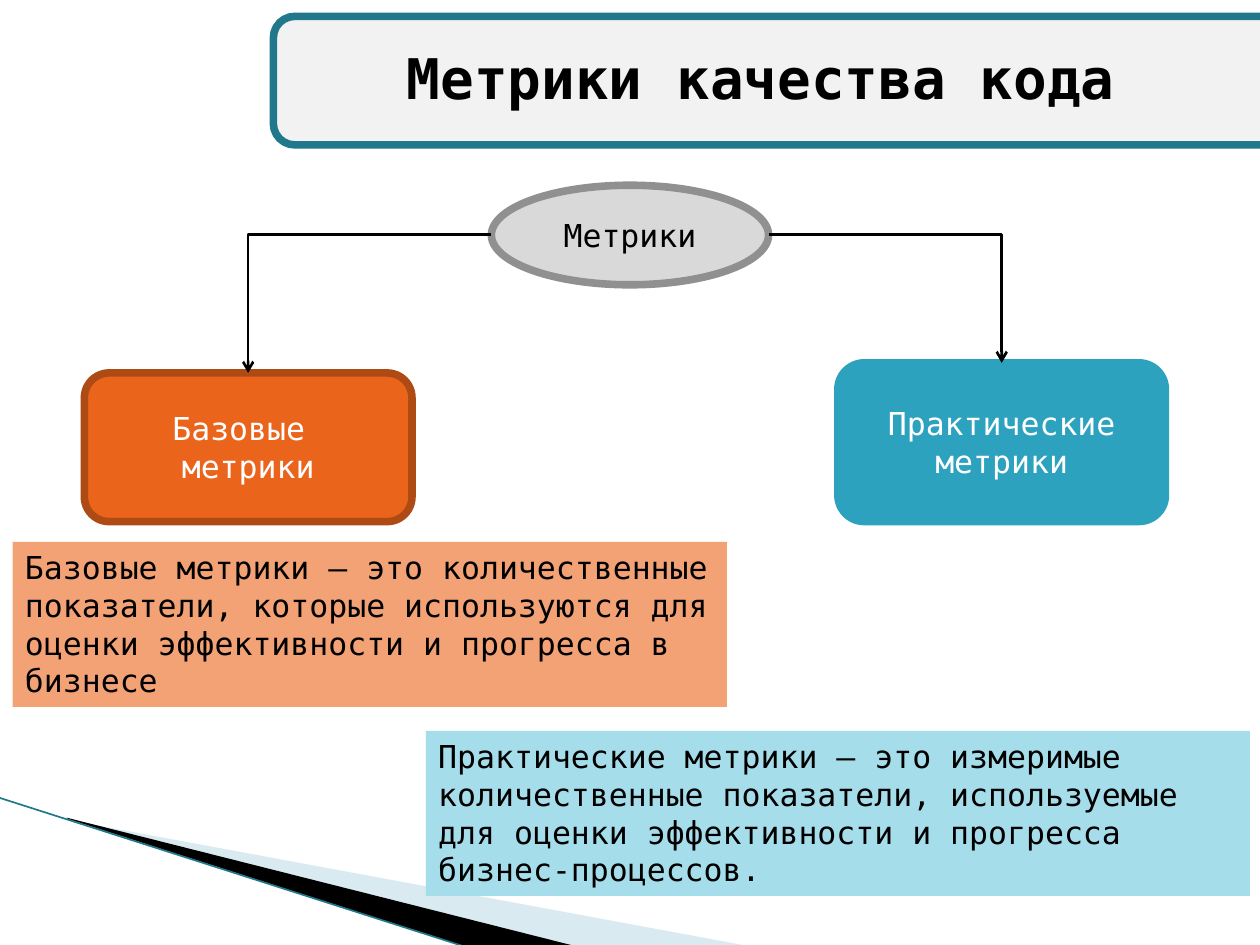
from lxml import etree
from pptx import Presentation
from pptx.dml.color import RGBColor
from pptx.enum import shapes as kinds, text as txt
from pptx.oxml.ns import qn
from pptx.util import Inches, Pt

FONT = "DejaVu Sans Mono"
BORDER = 4.33
SHAPE = kinds.MSO_SHAPE


def rgb(value):
    return RGBColor.from_string(value)


def paint(shape, fill, border=None):
    shape.shadow.inherit = False
    shape.fill.solid()
    shape.fill.fore_color.rgb = rgb(fill)
    if border:
        shape.line.color.rgb = rgb(border)
        shape.line.width = Pt(BORDER)
    else:
        shape.line.fill.background()


def write(shape, wording, size, color, align, bold=False):
    frame = shape.text_frame
    frame.word_wrap = True
    frame.text = wording
    for paragraph in frame.paragraphs:
        paragraph.alignment = align
        for run in paragraph.runs:
            run.font.name = FONT
            run.font.size = Pt(size)
            run.font.bold = bold
            run.font.color.rgb = rgb(color)


def add_block(slide, kind, box, fill, border=None):
    block = slide.shapes.add_shape(kind, *map(Inches, box))
    paint(block, fill, border)
    return block


def add_node(slide, kind, box, fill, border, wording, color):
    node = add_block(slide, kind, box, fill, border)
    write(node, wording, 18, color, txt.PP_ALIGN.CENTER)
    node.text_frame.vertical_anchor = txt.MSO_ANCHOR.MIDDLE


def add_definition(slide, box, fill, wording):
    definition = add_block(slide, SHAPE.RECTANGLE, box, fill)
    write(definition, wording, 18, "000000", txt.PP_ALIGN.LEFT)
    definition.text_frame.vertical_anchor = txt.MSO_ANCHOR.TOP
    definition.text_frame.auto_size = txt.MSO_AUTO_SIZE.SHAPE_TO_FIT_TEXT


def add_wedge(slide, points, fill, opacity=100):
    corners = [(Inches(x), Inches(y)) for x, y in points]
    builder = slide.shapes.build_freeform(*corners[0])
    builder.add_line_segments(corners[1:])
    wedge = builder.convert_to_shape()
    paint(wedge, fill)
    if opacity < 100:
        tint = wedge.element.spPr.find(".//" + qn("a:srgbClr"))
        etree.SubElement(tint, qn("a:alpha"), val=str(opacity * 1000))


def add_line(slide, start, end, color, width, kind=kinds.MSO_CONNECTOR.STRAIGHT):
    line = slide.shapes.add_connector(kind, *map(Inches, start + end))
    line.line.color.rgb = rgb(color)
    line.line.width = Pt(width)
    etree.SubElement(line.element.spPr, qn("a:effectLst"))
    return line


def add_branch(slide, start, end):
    """Arrow that runs sideways and then turns down once."""
    branch = add_line(slide, start, end, "000000", 1.5, kinds.MSO_CONNECTOR.ELBOW)
    properties = branch.element.spPr
    properties.find(qn("a:prstGeom")).set("prst", "bentConnector2")
    etree.SubElement(properties.find(qn("a:ln")), qn("a:tailEnd"), type="arrow")


def add_heading(slide, wording):
    banner = add_block(slide, SHAPE.ROUNDED_RECTANGLE, (2.17, 0.13, 9.13, 1.02),
                       "F2F2F2", "21788D")
    title = slide.shapes.title
    title.left, title.top, title.width, title.height = map(
        Inches, (1.54, -0.01, 9, 1.25))
    write(title, wording, 32, "000000", txt.PP_ALIGN.CENTER, bold=True)
    title.text_frame.vertical_anchor = txt.MSO_ANCHOR.MIDDLE
    banner.element.addnext(title.element)


def add_corner(slide):
    add_wedge(slide, [(0.55, 6.51), (5.95, 7.51), (4.56, 7.51), (0.55, 6.5)],
              "A0CBDC", 40)
    add_wedge(slide, [(0.53, 6.49), (4.57, 7.51), (3.72, 7.52), (0.54, 6.5)],
              "000000")
    add_line(slide, (-0.01, 6.33), (3.71, 7.52), "21788D", 0.95)


def main():
    deck = Presentation()
    deck.slide_width, deck.slide_height = Inches(10), Inches(7.5)
    slide = deck.slides.add_slide(deck.slide_layouts[5])

    add_corner(slide)
    add_heading(slide, "Метрики качества кода")

    add_node(slide, SHAPE.ROUNDED_RECTANGLE, (0.67, 2.96, 2.6, 1.18),
             "EB641B", "AE4A14", "Базовые \nметрики", "FFFFFF")
    add_node(slide, SHAPE.ROUNDED_RECTANGLE, (6.65, 2.88, 2.6, 1.26),
             "2DA2BF", "2DA2BF", "Практические\nметрики", "FFFFFF")
    add_node(slide, SHAPE.OVAL, (3.9, 1.47, 2.2, 0.79),
             "D9D9D9", "909090", "Метрики", "000000")
    add_branch(slide, (3.9, 1.86), (1.97, 2.96))
    add_branch(slide, (6.1, 1.86), (7.95, 2.88))

    add_definition(slide, (0.1, 4.3, 5.67, 1.31), "F3A276",
                   "Базовые метрики — это количественные показатели, которые "
                   "используются для оценки эффективности и прогресса в бизнесе")
    add_definition(slide, (3.38, 5.8, 6.54, 1.31), "A6DDEA",
                   "Практические метрики — это измеримые количественные "
                   "показатели, используемые для оценки эффективности и "
                   "прогресса бизнес-процессов.")
    deck.save("out.pptx")


if __name__ == "__main__":
    main()
